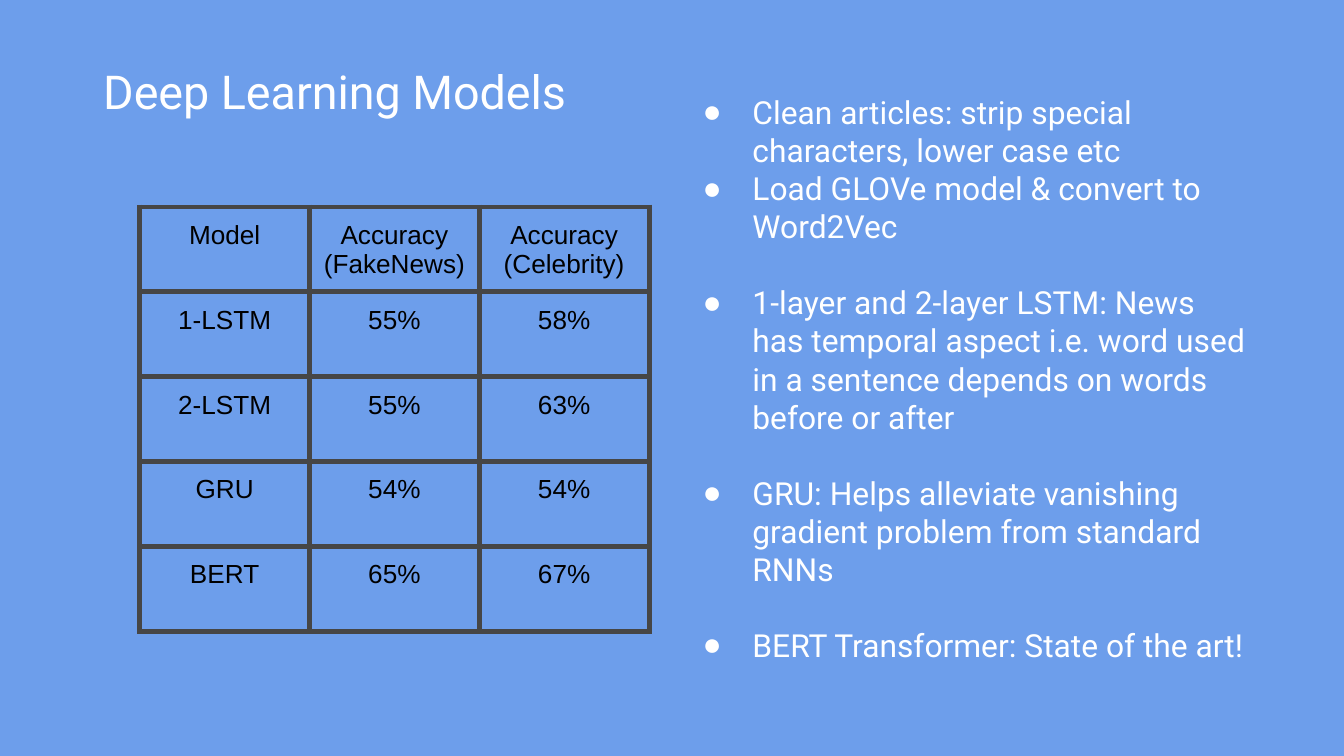
from lxml import etree
from pptx import Presentation
from pptx.dml.color import RGBColor
from pptx.enum.text import MSO_ANCHOR, PP_ALIGN
from pptx.oxml.ns import qn
from pptx.util import Inches, Pt

CENTER = PP_ALIGN.CENTER
LEFT = PP_ALIGN.LEFT
MIDDLE = MSO_ANCHOR.MIDDLE
COLORS = {"background": "6D9EEB", "light": "FFFFFF", "dark": "000000", "border": "464646"}
INSET = Inches(0.1)

# Text and whether a gap precedes it
BULLETS = [
    ("Clean articles: strip special characters, lower case etc", False),
    ("Load GLOVe model & convert to Word2Vec", False),
    ("1-layer and 2-layer LSTM: News has temporal aspect i.e. word used "
     "in a sentence depends on words before or after", True),
    ("GRU: Helps alleviate vanishing gradient problem from standard RNNs", True),
    ("BERT Transformer: State of the art!", True),
]
RESULTS = [
    ["Model", "Accuracy\n(FakeNews)", "Accuracy\n(Celebrity)"],
    ["1-LSTM", "55%", "58%"],
    ["2-LSTM", "55%", "63%"],
    ["GRU", "54%", "54%"],
    ["BERT", "65%", "67%"],
]


def write(p, text, size=17, font="Roboto", color="light", align=LEFT):
    p.alignment = align
    r = p.add_run()
    r.text = text
    r.font.size = Pt(size)
    r.font.name = font
    r.font.color.rgb = RGBColor.from_string(COLORS[color])


def add_text_frame(s, x, y, w, h):
    tf = s.shapes.add_textbox(Inches(x), Inches(y), Inches(w), Inches(h)).text_frame
    tf.word_wrap = True
    tf.vertical_anchor = MIDDLE
    tf.margin_left = tf.margin_right = tf.margin_top = tf.margin_bottom = INSET
    return tf


def set_bullet(p):
    pPr = p._p.get_or_add_pPr()
    pPr.set("marL", str(Inches(0.5)))
    pPr.set("indent", str(Inches(-0.37)))
    color = etree.SubElement(pPr, qn("a:buClr"))
    etree.SubElement(color, qn("a:srgbClr"), val=COLORS["light"])
    etree.SubElement(pPr, qn("a:buFont"), typeface="Arial")
    etree.SubElement(pPr, qn("a:buChar"), char="●")


def set_borders(cell, width=3):
    tcPr = cell._tc.get_or_add_tcPr()
    for i, side in enumerate(("a:lnL", "a:lnR", "a:lnT", "a:lnB")):
        ln = etree.Element(qn(side), w=str(Pt(width)))
        fill = etree.SubElement(ln, qn("a:solidFill"))
        etree.SubElement(fill, qn("a:srgbClr"), val=COLORS["border"])
        tcPr.insert(i, ln)  # borders precede the cell fill


def add_title(s, x, y, w, h):
    tf = add_text_frame(s, x, y, w, h)
    write(tf.paragraphs[0], "Deep Learning Models", size=25)


def add_bullets(s, x, y, w, h):
    tf = add_text_frame(s, x, y, w, h)
    for i, (text, gap) in enumerate(BULLETS):
        p = tf.add_paragraph() if i else tf.paragraphs[0]
        p.space_before = Pt(20.4 if gap else 0)
        set_bullet(p)
        write(p, text)


def add_results_table(s, x, y, w, h):
    rows, cols = len(RESULTS), len(RESULTS[0])
    table = s.shapes.add_table(rows, cols, Inches(x), Inches(y), Inches(w), Inches(h)).table
    table.first_row = table.horz_banding = False
    for row, values in enumerate(RESULTS):
        for col, value in enumerate(values):
            cell = table.cell(row, col)
            cell.fill.background()
            cell.margin_left = cell.margin_right = cell.margin_top = INSET
            cell.margin_bottom = Inches(0.06)  # keeps the two-line header as low as the other rows
            set_borders(cell)
            tf = cell.text_frame
            for i, line in enumerate(value.split("\n")):
                p = tf.add_paragraph() if i else tf.paragraphs[0]
                write(p, line, size=14, font="Arial", color="dark", align=CENTER)


def main():
    prs = Presentation()
    prs.slide_width = Inches(10)
    prs.slide_height = prs.slide_width * 9 // 16
    s = prs.slides.add_slide(prs.slide_layouts[6])
    s.background.fill.solid()
    s.background.fill.fore_color.rgb = RGBColor.from_string(COLORS["background"])

    add_title(s, 0.67, 0.3, 6.64, 0.75)
    add_bullets(s, 5, 1.04, 4.38, 3.55)
    add_results_table(s, 1.04, 1.54, 3.79, 3.16)
    prs.save("out.pptx")


if __name__ == "__main__":
    main()
